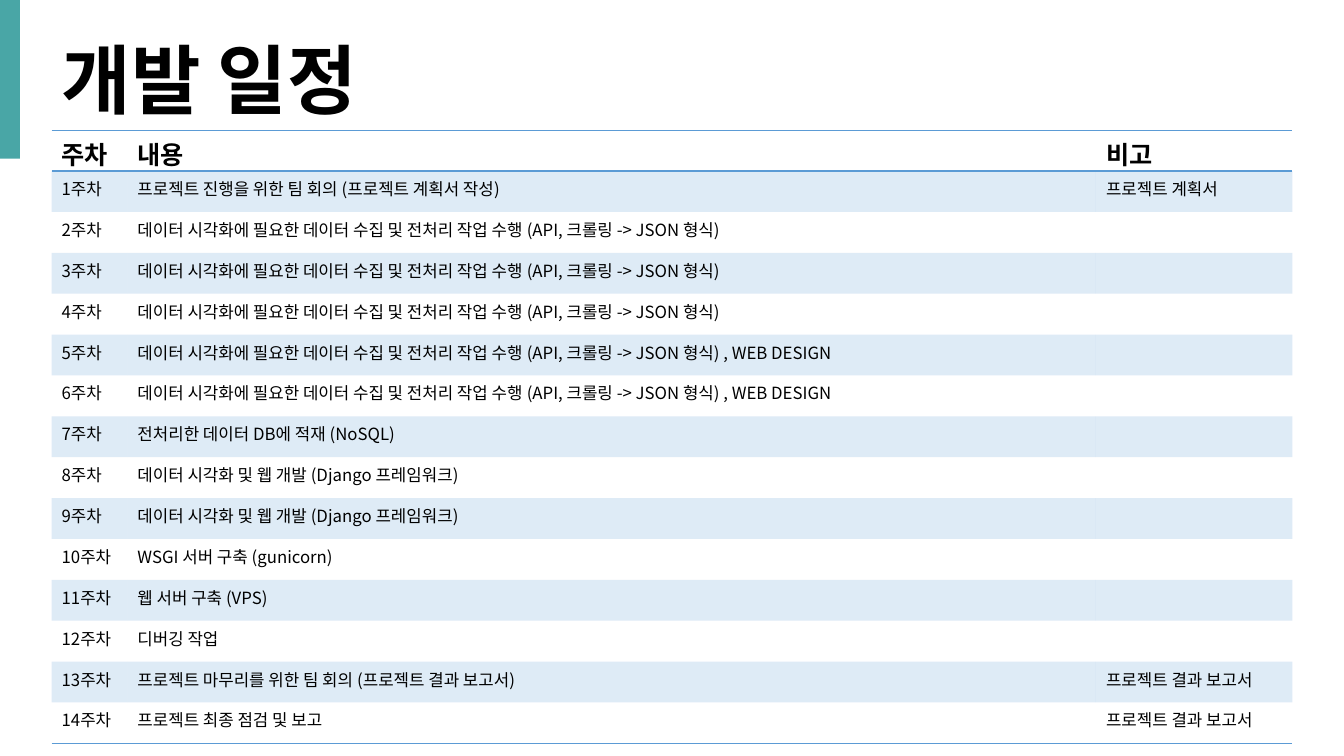
from lxml.etree import SubElement
from pptx import Presentation
from pptx.dml.color import RGBColor
from pptx.enum.shapes import MSO_SHAPE
from pptx.enum.text import MSO_ANCHOR, MSO_AUTO_SIZE, PP_ALIGN
from pptx.oxml import parse_xml
from pptx.oxml.ns import nsdecls, qn
from pptx.util import Cm, Pt

FONT = "Noto Sans CJK KR"
TEAL = RGBColor(0x49, 0xA6, 0xA6)
BLUE = RGBColor(0x5B, 0x9B, 0xD5)
BLACK = RGBColor(0, 0, 0)
PLAIN_TABLE_STYLE = "{2D5ABB26-0587-4C30-8999-92F81FD0307C}"
BAND_OPACITY = 20

COLLECTING = "데이터 시각화에 필요한 데이터 수집 및 전처리 작업 수행 (API, 크롤링 -> JSON 형식)"
COLLECTING_AND_DESIGN = COLLECTING + " , WEB DESIGN"
WEB_DEVELOPMENT = "데이터 시각화 및 웹 개발 (Django 프레임워크)"
RESULT_REPORT = "프로젝트 결과 보고서"

HEADINGS = ("주차", "내용", "비고")
WEEKS = [
    ("프로젝트 진행을 위한 팀 회의 (프로젝트 계획서 작성)", "프로젝트 계획서"),
    (COLLECTING, ""),
    (COLLECTING, ""),
    (COLLECTING, ""),
    (COLLECTING_AND_DESIGN, ""),
    (COLLECTING_AND_DESIGN, ""),
    ("전처리한 데이터 DB에 적재 (NoSQL)", ""),
    (WEB_DEVELOPMENT, ""),
    (WEB_DEVELOPMENT, ""),
    ("WSGI 서버 구축 (gunicorn)", ""),
    ("웹 서버 구축 (VPS)", ""),
    ("디버깅 작업", ""),
    ("프로젝트 마무리를 위한 팀 회의 (프로젝트 결과 보고서)", RESULT_REPORT),
    ("프로젝트 최종 점검 및 보고", RESULT_REPORT),
]
COLUMN_WIDTHS = (Cm(1.91), Cm(24.41), Cm(4.95))
ROW_HEIGHT = Cm(1.03)


def format_paragraph(paragraph, size, bold):
    """Set the font for both Latin and Korean letters."""
    font = paragraph.font
    font.name, font.size, font.bold = FONT, Pt(size), bold
    font.color.rgb = BLACK
    properties = paragraph._p.pPr.find(qn("a:defRPr"))
    SubElement(properties, qn("a:ea"), typeface=FONT)


def add_accent_bar(slide, left, top, width, height):
    bar = slide.shapes.add_shape(MSO_SHAPE.RECTANGLE, left, top, width, height)
    bar.shadow.inherit = False
    bar.fill.solid()
    bar.fill.fore_color.rgb = TEAL
    bar.line.fill.background()


def place_title(slide, text, left, top, width, height):
    title = slide.shapes.title
    title.left, title.top, title.width, title.height = left, top, width, height
    frame = title.text_frame
    frame.text = text
    frame.word_wrap = False
    frame.auto_size = MSO_AUTO_SIZE.SHAPE_TO_FIT_TEXT
    frame.vertical_anchor = MSO_ANCHOR.TOP
    paragraph = frame.paragraphs[0]
    paragraph.alignment = PP_ALIGN.LEFT
    format_paragraph(paragraph, 54, True)


def fill_band(cell):
    cell.fill.solid()
    cell.fill.fore_color.rgb = BLUE
    color = cell._tc.tcPr.find(qn("a:solidFill"))[0]
    SubElement(color, qn("a:alpha"), val=str(BAND_OPACITY * 1000))


def add_rules(cell, sides):
    """Draw the borders named in sides, given in the order T, B."""
    properties = cell._tc.get_or_add_tcPr()
    for index, side in enumerate(sides):
        properties.insert(index, parse_xml(
            f'<a:ln{side} {nsdecls("a")} w="{Pt(1)}"><a:solidFill>'
            f'<a:srgbClr val="{BLUE}"/></a:solidFill></a:ln{side}>'))


def add_schedule(slide, left, top):
    rows = [HEADINGS]
    rows += [(f"{week}주차", *entry) for week, entry in enumerate(WEEKS, 1)]
    frame = slide.shapes.add_table(len(rows), len(HEADINGS), left, top,
                                   sum(COLUMN_WIDTHS), ROW_HEIGHT * len(rows))
    table = frame.table
    table.horz_banding = False
    table._tbl.tblPr.find(qn("a:tableStyleId")).text = PLAIN_TABLE_STYLE
    for column, width in zip(table.columns, COLUMN_WIDTHS):
        column.width = width

    for row_index, texts in enumerate(rows):
        table.rows[row_index].height = ROW_HEIGHT
        is_header = row_index == 0
        for cell, text in zip(table.rows[row_index].cells, texts):
            cell.text = text
            format_paragraph(cell.text_frame.paragraphs[0],
                             18 if is_header else 12, is_header)
            if row_index % 2:
                fill_band(cell)
            else:
                cell.fill.background()
            if is_header:
                add_rules(cell, "TB")
            elif row_index == len(rows) - 1:
                add_rules(cell, "B")


def main():
    presentation = Presentation()
    presentation.slide_width = Cm(33.87)
    presentation.slide_height = Cm(19.05)
    slide = presentation.slides.add_slide(presentation.slide_layouts[5])
    add_accent_bar(slide, Cm(0), Cm(0), Cm(0.5), Cm(4))
    place_title(slide, "개발 일정", Cm(1.3), Cm(0.7), Cm(8.9), Cm(2.57))
    add_schedule(slide, Cm(1.3), Cm(3.28))
    presentation.save("out.pptx")


if __name__ == "__main__":
    main()
